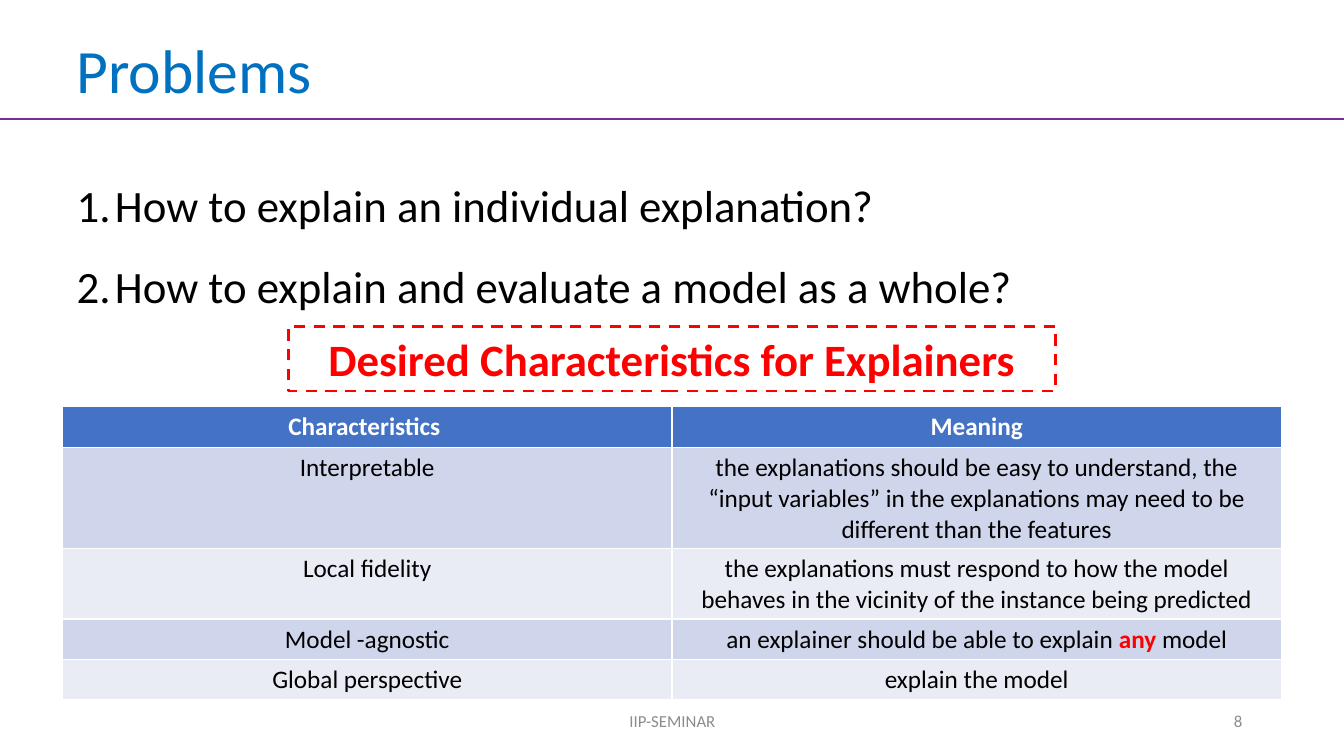
"""Build the Problems slide with the desired characteristics for explainers."""
from lxml import etree
from pptx import Presentation
from pptx.dml.color import RGBColor
from pptx.enum import dml, shapes, text
from pptx.oxml import ns
from pptx.util import Inches, Pt

BLUE = RGBColor(0x00, 0x70, 0xC0)
PURPLE = RGBColor(0x70, 0x30, 0xA0)
RED = RGBColor(0xFF, 0x00, 0x00)
BLACK = RGBColor(0x00, 0x00, 0x00)
WHITE = RGBColor(0xFF, 0xFF, 0xFF)
GREY = RGBColor(0x8C, 0x8C, 0x8C)
HEADER_FILL = RGBColor(0x44, 0x72, 0xC4)
BAND_FILLS = [RGBColor(0xE9, 0xEB, 0xF5), RGBColor(0xCF, 0xD5, 0xEA)]


def format_paragraph(paragraph, size, color, alignment, bold=False):
    """Align a paragraph and format its runs."""
    paragraph.alignment = alignment
    for run in paragraph.runs:
        run.font.name = "Calibri"
        run.font.size = Pt(size)
        run.font.bold = bold
        run.font.color.rgb = color


def place(shape, left, top, width, height):
    """Move and size a shape, in inches."""
    shape.left, shape.top = Inches(left), Inches(top)
    shape.width, shape.height = Inches(width), Inches(height)


LEFT, CENTER, RIGHT = text.PP_ALIGN.LEFT, text.PP_ALIGN.CENTER, text.PP_ALIGN.RIGHT

presentation = Presentation()
presentation.slide_width = Inches(13.33)
presentation.slide_height = Inches(7.5)
slide = presentation.slides.add_slide(presentation.slide_layouts[1])

title = slide.shapes.title
place(title, 0.66, 0, 11.5, 1.45)
title.text_frame.text = "Problems"
title.text_frame.auto_size = text.MSO_AUTO_SIZE.NONE
title.text_frame.vertical_anchor = text.MSO_ANCHOR.MIDDLE
title.text_frame.paragraphs[0].line_spacing = 0.9
format_paragraph(title.text_frame.paragraphs[0], 44, BLUE, LEFT)

footers = [("IIP-SEMINAR", 4.42, 4.5, CENTER), ("8", 9.42, 3, RIGHT)]
for wording, left, width, alignment in footers:
    footer = slide.shapes.add_textbox(Inches(left), Inches(6.95), Inches(width), Inches(0.4))
    footer.text_frame.word_wrap = True
    footer.text_frame.vertical_anchor = text.MSO_ANCHOR.MIDDLE
    footer.text_frame.text = wording
    format_paragraph(footer.text_frame.paragraphs[0], 12, GREY, alignment)

title_rule = slide.shapes.add_connector(
    shapes.MSO_CONNECTOR.STRAIGHT, Inches(0), Inches(1.18), Inches(13.33), Inches(1.18))
title_rule.line.color.rgb = PURPLE
title_rule.line.width = Pt(2)
etree.SubElement(title_rule._element.spPr, ns.qn("a:effectLst"))

questions = slide.placeholders[1]
place(questions, 0.66, 1.45, 12.49, 1.63)
questions.text_frame.text = (
    "How to explain an individual explanation?\n"
    "How to explain and evaluate a model as a whole?")
questions.text_frame.auto_size = text.MSO_AUTO_SIZE.NONE
for paragraph in questions.text_frame.paragraphs:
    paragraph.line_spacing = 1.5
    paragraph.space_before = Pt(0)
    format_paragraph(paragraph, 32, BLACK, LEFT)
    properties = paragraph._p.get_or_add_pPr()
    properties.set("marL", str(Inches(0.38)))
    properties.set("indent", str(-Inches(0.38)))
    etree.SubElement(properties, ns.qn("a:buFont"), typeface="+mj-lt")
    etree.SubElement(properties, ns.qn("a:buAutoNum"), type="arabicPeriod")

rows = [
    ("Characteristics ", ["Meaning"], 0.41),
    ("Interpretable", ["the explanations should be easy to understand, the “input variables” "
                       "in the explanations may need to be different than the features"], 1),
    ("Local fidelity", ["the explanations must respond to how the model behaves in the "
                        "vicinity of the instance being predicted"], 0.7),
    ("Model -agnostic", ["an explainer should be able to explain ", "any", " model"], 0.4),
    ("Global perspective", ["explain the model"], 0.4),
]
table = slide.shapes.add_table(
    len(rows), 2, Inches(0.62), Inches(4.03), Inches(12.09), Inches(2.91)).table
for row_index, (characteristic, meaning, height) in enumerate(rows):
    table.rows[row_index].height = Inches(height)
    is_header = row_index == 0
    for column_index, pieces in enumerate([[characteristic], meaning]):
        cell = table.cell(row_index, column_index)
        cell.fill.solid()
        cell.fill.fore_color.rgb = HEADER_FILL if is_header else BAND_FILLS[row_index % 2]
        paragraph = cell.text_frame.paragraphs[0]
        for piece in pieces:
            paragraph.add_run().text = piece
        format_paragraph(paragraph, 18, WHITE if is_header else BLACK, CENTER, is_header)

emphasis = table.cell(3, 1).text_frame.paragraphs[0].runs[1]
emphasis.font.bold = True
emphasis.font.color.rgb = RED

banner = slide.shapes.add_shape(
    shapes.MSO_SHAPE.RECTANGLE, Inches(2.86), Inches(3.24), Inches(7.61), Inches(0.64))
banner.shadow.inherit = False
banner.fill.solid()
banner.fill.fore_color.rgb = WHITE
banner.line.color.rgb = RED
banner.line.width = Pt(2)
banner.line.dash_style = dml.MSO_LINE.DASH
banner.text_frame.word_wrap = True
banner.text_frame.vertical_anchor = text.MSO_ANCHOR.TOP
banner.text_frame.text = "Desired Characteristics for Explainers"
format_paragraph(banner.text_frame.paragraphs[0], 32, RED, CENTER, True)

presentation.save("out.pptx")
